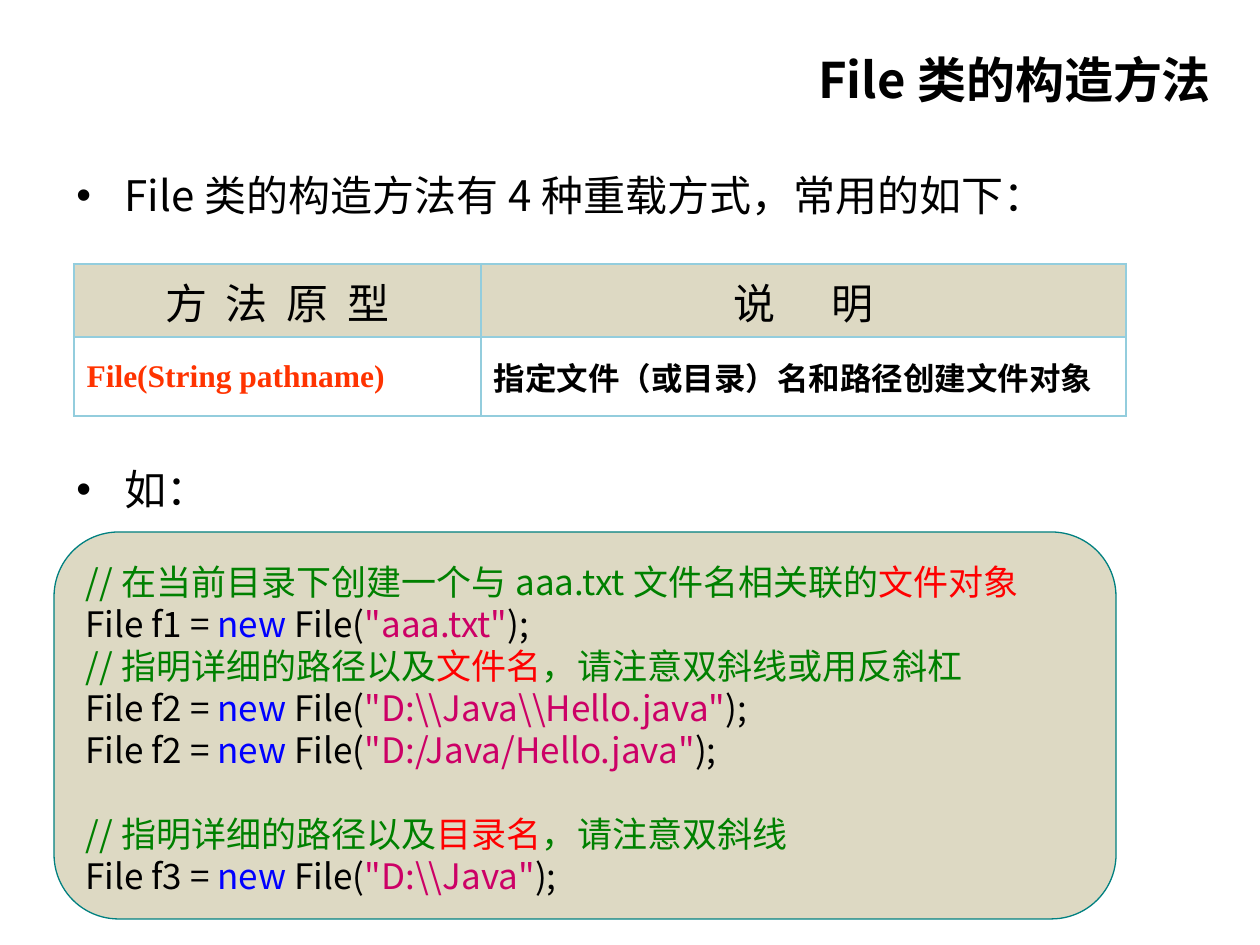
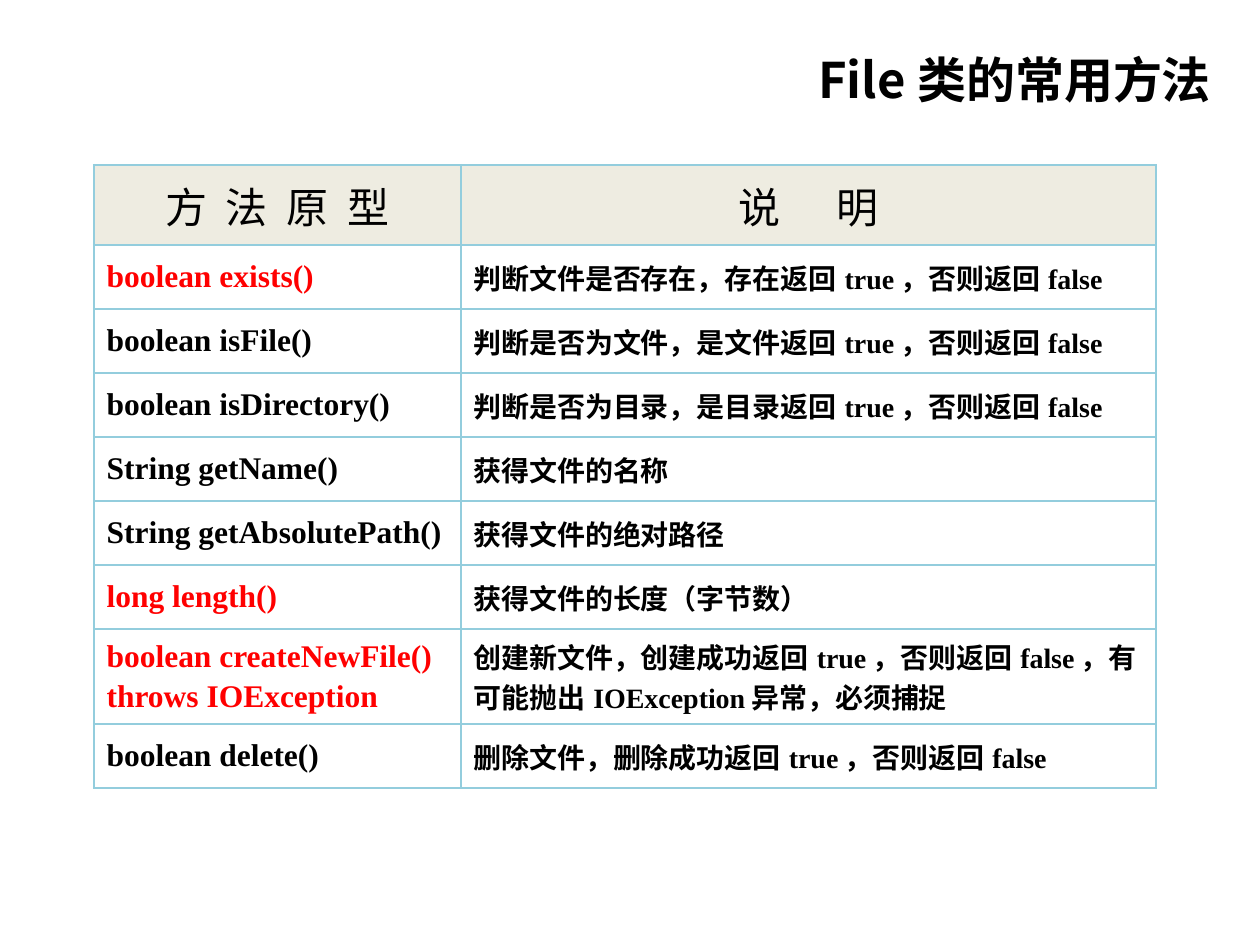
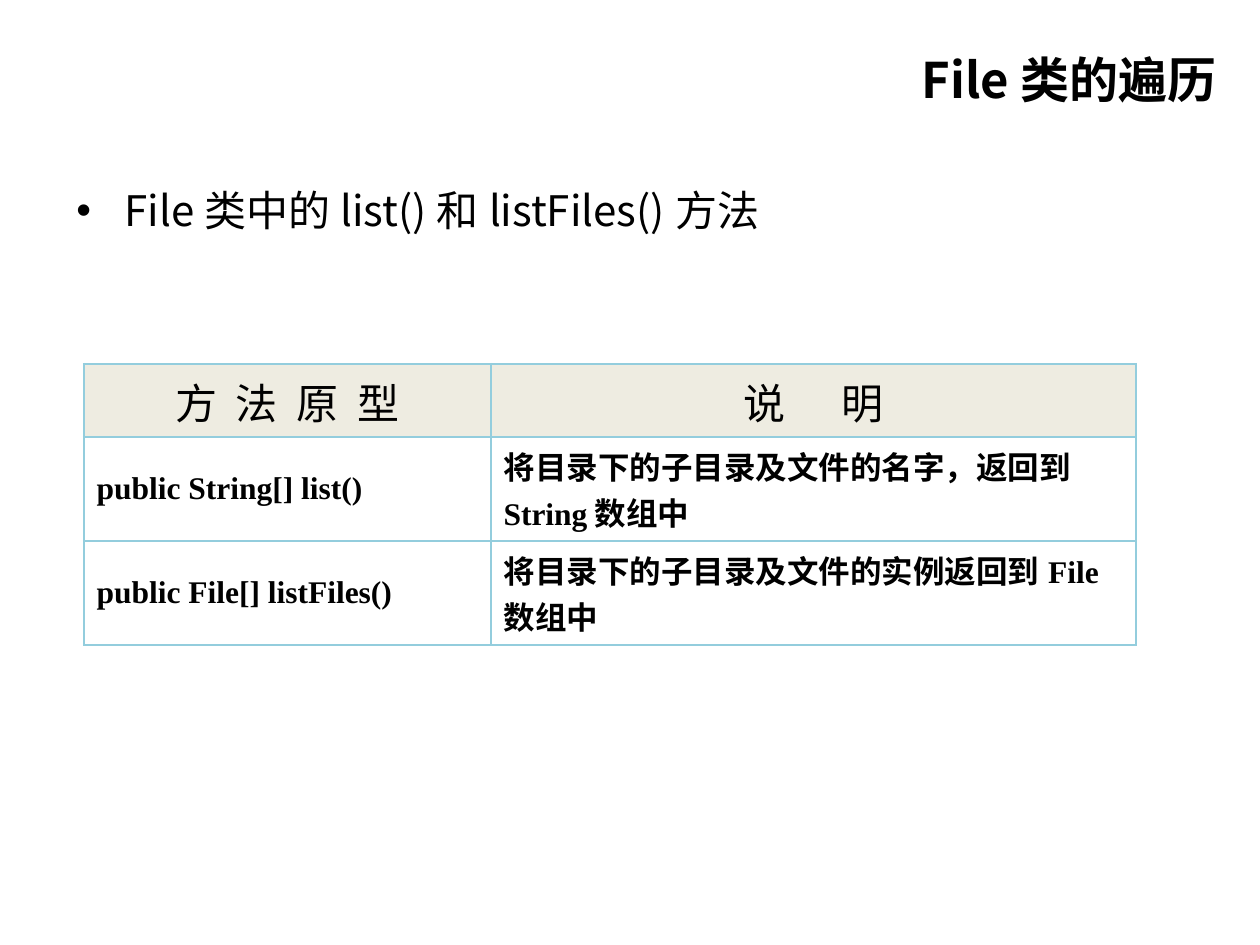
from lxml import etree
from pptx import Presentation
from pptx import util as u
from pptx.dml.color import RGBColor
from pptx.enum import shapes, text
from pptx.oxml import ns

# Style
BLACK = RGBColor(0x00, 0x00, 0x00)
WHITE = RGBColor(0xFF, 0xFF, 0xFF)
RED = RGBColor(0xFF, 0x00, 0x00)
ORANGE = RGBColor(0xFF, 0x33, 0x00)
GREEN = RGBColor(0x00, 0x80, 0x00)
BLUE = RGBColor(0x00, 0x00, 0xFF)
PINK = RGBColor(0xCC, 0x00, 0x66)
TEAL = RGBColor(0x00, 0x80, 0x80)
TAN = RGBColor(0xDD, 0xD9, 0xC3)
CREAM = RGBColor(0xEE, 0xEC, 0xE1)
GRID = RGBColor(0x93, 0xCD, 0xDD)
SANS, SERIF = "Noto Sans CJK SC", "Times New Roman"
PX_PER_INCH = 126
LINE = 1.2


def px(n):
    return u.Emu(round(n * 914400 / PX_PER_INCH))


def sub(parent, tag, **attrs):
    return etree.SubElement(parent, ns.qn(tag), {k: str(v) for k, v in attrs.items()})


def put(p, words, size=24, font=SANS, color=BLACK, bold=False, spacing=0):
    """Add one run; spacing is the extra letter gap in points."""
    r = p.add_run()
    r.text = words
    f = r.font
    f.size, f.name, f.bold = u.Pt(size), font, bold
    f.color.rgb = color
    sub(f._element, "a:ea", typeface=SANS)
    if spacing:
        f._element.set("spc", str(round(spacing * 100)))
    return r


class Deck:
    def __init__(self):
        self.prs = Presentation()
        self.prs.slide_width, self.prs.slide_height = px(1260), px(945)
        self.s = None

    def slide(self, title, x, w):
        self.s = self.prs.slides.add_slide(self.prs.slide_layouts[6])
        p = self.box(x, 39, w, 69, 28)
        p.alignment = text.PP_ALIGN.CENTER
        put(p, title, 28, bold=True)

    def frame(self, sp, size):
        """Set up wrapped, top-anchored text and return its frame."""
        tf = sp.text_frame
        tf.word_wrap = True
        tf.vertical_anchor = text.MSO_ANCHOR.TOP
        tf.margin_top = px(6 + size * 0.16)
        return tf

    def box(self, x, y, w, h, size):
        sp = self.s.shapes.add_textbox(px(x), px(y), px(w), px(h))
        p = self.frame(sp, size).paragraphs[0]
        p.line_spacing = u.Pt(size * LINE)
        return p

    def bullet(self, words, y):
        p = self.box(64, y, 1134, 66, 24)
        pPr = p._p.get_or_add_pPr()
        pPr.set("marL", str(px(48)))
        pPr.set("indent", str(px(-48)))
        sub(pPr, "a:buFont", typeface="Arial")
        sub(pPr, "a:buChar", char="•")
        put(p, words)

    def code(self, x, y, w, h, blocks, size=20):
        """Blocks of lines of (words, colour), one line apart."""
        sp = self.s.shapes.add_shape(shapes.MSO_SHAPE.ROUNDED_RECTANGLE,
                                     px(x), px(y), px(w), px(h))
        sp.shadow.inherit = False
        sp.fill.solid()
        sp.fill.fore_color.rgb = TAN
        sp.line.color.rgb, sp.line.width = TEAL, u.Pt(0.75)
        tf = self.frame(sp, size)
        p = None
        for block in blocks:
            for i, line in enumerate(block):
                starts_later_block = p is not None and i == 0
                p = tf.paragraphs[0] if p is None else tf.add_paragraph()
                p.alignment = text.PP_ALIGN.LEFT
                p.line_spacing = u.Pt(size * LINE)
                if starts_later_block:
                    p.space_before = u.Pt(size * LINE)
                for words, color in line:
                    put(p, words, size, color=color)

    def cell(self, c, fill, edges):
        c.fill.solid()
        c.fill.fore_color.rgb = fill
        c.vertical_anchor = text.MSO_ANCHOR.MIDDLE
        tcPr = c._tc.get_or_add_tcPr()
        for i, (side, outer) in enumerate(edges.items()):
            ln = etree.Element(ns.qn(f"a:ln{side}"), w=str(u.Pt(1.5 if outer else 1)))
            sub(sub(ln, "a:solidFill"), "a:srgbClr", val=str(GRID))
            tcPr.insert(i, ln)

    def table(self, x, y, widths, heights, rows, head_fill, note_size=18):
        """Rows are (prototype, note, prototype colour) under a fixed header."""
        n = len(heights)
        t = self.s.shapes.add_table(n, 2, px(x), px(y),
                                    px(sum(widths)), px(sum(heights))).table
        for col, w in zip(t.columns, widths):
            col.width = px(w)
        for row, h in zip(t.rows, heights):
            row.height = px(h)
        for i in range(n):
            for j in range(2):
                self.cell(t.cell(i, j), WHITE if i else head_fill,
                          {"L": j == 0, "R": j == 1, "T": i == 0, "B": i == n - 1})
        # Header: letters spread apart, the last one without a trailing gap
        for j, (words, gap) in enumerate([("方 法 原 型", 2.7), ("说 明", 13.3)]):
            p = t.cell(0, j).text_frame.paragraphs[0]
            p.alignment = text.PP_ALIGN.CENTER
            put(p, words[:-1], spacing=gap)
            put(p, words[-1])
        # Body
        for i, (prototype, note, color) in enumerate(rows, 1):
            tf = t.cell(i, 0).text_frame
            for k, words in enumerate(prototype.split("\n")):
                p = tf.add_paragraph() if k else tf.paragraphs[0]
                if k:
                    p.space_before = u.Pt(3)
                put(p, words, 18, SERIF, color, True)
            put(t.cell(i, 1).text_frame.paragraphs[0], note, note_size, SERIF, bold=True)


def new_file(name, target):
    return [(f"File {name} = ", BLACK), ("new", BLUE), (" File(", BLACK),
            (f'"{target}"', PINK), (");", BLACK)]


def main():
    d = Deck()

    # Constructors
    d.slide("File类的构造方法", 779, 471)
    d.bullet("File类的构造方法有4种重载方式，常用的如下：", 160)
    d.table(74, 264, [407, 645], [73, 79],
            [("File(String pathname)", "指定文件（或目录）名和路径创建文件对象", ORANGE)], TAN)
    d.bullet("如：", 454)
    d.code(54, 532, 1062, 387, [
        [[("//在当前目录下创建一个与aaa.txt文件名相关联的", GREEN), ("文件对象", RED)],
         new_file("f1", "aaa.txt"),
         [("//指明详细的路径以及", GREEN), ("文件名", RED),
          ("，请注意双斜线或用反斜杠", GREEN)],
         new_file("f2", r"D:\\Java\\Hello.java"),
         new_file("f2", "D:/Java/Hello.java")],
        [[("//指明详细的路径以及", GREEN), ("目录名", RED), ("，请注意双斜线", GREEN)],
         new_file("f3", r"D:\\Java")],
    ])

    # Common methods
    d.slide("File类的常用方法", 779, 471)
    d.table(94, 165, [367, 695], [80] + [64] * 6 + [95, 64], [
        ("boolean exists()", "判断文件是否存在，存在返回true，否则返回false", RED),
        ("boolean isFile()", "判断是否为文件，是文件返回true，否则返回false", BLACK),
        ("boolean isDirectory()", "判断是否为目录，是目录返回true，否则返回false", BLACK),
        ("String getName()", "获得文件的名称", BLACK),
        ("String getAbsolutePath()", "获得文件的绝对路径", BLACK),
        ("long length()", "获得文件的长度（字节数）", RED),
        ("boolean createNewFile()\nthrows IOException",
         "创建新文件，创建成功返回true，否则返回false，有可能抛出IOException异常，必须捕捉", RED),
        ("boolean delete()", "删除文件，删除成功返回true，否则返回false", BLACK),
    ], CREAM, note_size=16)

    # Listing a directory
    d.slide("File类的遍历", 888, 362)
    d.bullet("File类中的list()和listFiles()方法", 175)
    d.table(84, 364, [407, 645], [73, 104, 104], [
        ("public String[] list()", "将目录下的子目录及文件的名字，返回到String数组中", BLACK),
        ("public File[] listFiles()", "将目录下的子目录及文件的实例返回到File数组中", BLACK),
    ], CREAM)

    d.prs.save("out.pptx")


if __name__ == "__main__":
    main()
